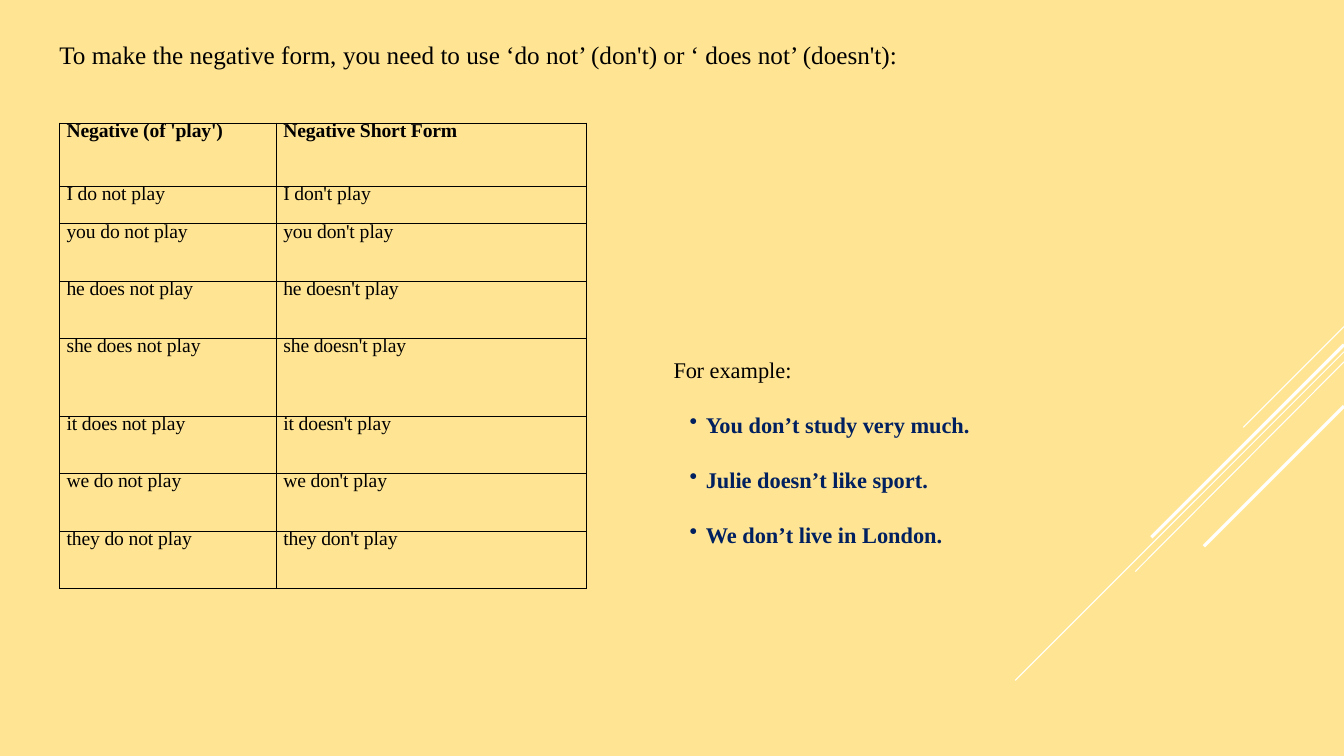
from lxml.etree import SubElement
from pptx import Presentation
from pptx.dml.color import RGBColor
from pptx.enum.shapes import MSO_CONNECTOR
from pptx.oxml.ns import qn
from pptx.util import Inches, Pt

FONT = "Times New Roman"
BLACK, NAVY, WHITE, SAND = "000000", "002060", "FFFFFF", "FFE593"
TIGHT = -10  # letter spacing in hundredths of a point

# Start and end of each diagonal line, and its width in points
DIAGONALS = [
    (13.33, 3.24, 12.33, 4.24, 0.75),
    (13.33, 3.49, 10.07, 6.75, 0.75),
    (13.33, 3.59, 11.26, 5.67, 0.75),
    (13.33, 3.42, 11.42, 5.33, 2.25),
    (13.33, 4.03, 11.94, 5.42, 2.25),
]
HEADINGS = ["Negative (of 'play')", "Negative Short Form"]
SUBJECTS = ["I", "you", "he", "she", "it", "we", "they"]
THIRD_PERSON = {"he", "she", "it"}
COLUMN_WIDTHS = [2.15, 3.07]
ROW_HEIGHTS = [0.63, 0.37, 0.57, 0.57, 0.77, 0.57, 0.57, 0.57]
EXAMPLES = [
    "You don’t study very much.",
    "Julie doesn’t like sport.",
    "We don’t live in London.",
]


def color(value):
    return RGBColor.from_string(value)


def write(paragraph, text, size=14, fill=BLACK, bold=False, spacing=0):
    """Add one formatted run to a paragraph."""
    run = paragraph.add_run()
    run.text = text
    run.font.name = FONT
    run.font.size = Pt(size)
    run.font.bold = bold
    run.font.color.rgb = color(fill)
    run.font._element.set("spc", str(spacing))


def indent(paragraph, left, first=0):
    properties = paragraph._p.get_or_add_pPr()
    properties.set("marL", str(Inches(left)))
    properties.set("indent", str(Inches(first)))
    return properties


def add_text_box(slide, left, top, width, height, inset=0.0):
    frame = slide.shapes.add_textbox(
        Inches(left), Inches(top), Inches(width), Inches(height)).text_frame
    frame.word_wrap = True
    frame.margin_left = frame.margin_right = Inches(inset)
    frame.margin_top = frame.margin_bottom = Inches(inset / 2)
    return frame


def add_line(slide, x1, y1, x2, y2, width):
    line = slide.shapes.add_connector(
        MSO_CONNECTOR.STRAIGHT, Inches(x1), Inches(y1), Inches(x2), Inches(y2))
    line.line.color.rgb = color(WHITE)
    line.line.width = Pt(width)
    SubElement(line._element.spPr, qn("a:effectLst"))


def set_borders(cell):
    properties = cell._tc.get_or_add_tcPr()
    for position, side in enumerate(("lnL", "lnR", "lnT", "lnB")):
        border = properties.makeelement(qn("a:" + side), {"w": str(Pt(0.48))})
        fill = SubElement(border, qn("a:solidFill"))
        SubElement(fill, qn("a:srgbClr"), val=BLACK)
        properties.insert(position, border)


def fill_cell(cell, pieces, line_height, bold=False):
    """Write (text, spacing) pieces into a bordered cell without fill."""
    cell.fill.background()
    cell.margin_left = cell.margin_right = 0
    cell.margin_top = cell.margin_bottom = 0
    set_borders(cell)
    paragraph = cell.text_frame.paragraphs[0]
    indent(paragraph, 0.07)
    paragraph.line_spacing = Pt(line_height)
    for text, spacing in pieces:
        write(paragraph, text, bold=bold, spacing=spacing)


def add_verb_table(slide):
    table = slide.shapes.add_table(
        len(ROW_HEIGHTS), len(COLUMN_WIDTHS), Inches(0.59), Inches(1.22),
        Inches(sum(COLUMN_WIDTHS)), Inches(sum(ROW_HEIGHTS))).table
    table.first_row = table.horz_banding = False
    for column, width in zip(table.columns, COLUMN_WIDTHS):
        column.width = Inches(width)
    for row, height in zip(table.rows, ROW_HEIGHTS):
        row.height = Inches(height)

    for index, heading in enumerate(HEADINGS):
        fill_cell(table.cell(0, index), [(heading, TIGHT)], 13.4, bold=True)
    for row, subject in enumerate(SUBJECTS, start=1):
        verb = "does" if subject in THIRD_PERSON else "do"
        for index, negative in enumerate((f"{verb} not", f"{verb}n't")):
            pieces = [(f"{subject} {negative} ", TIGHT), ("play", 0)]
            fill_cell(table.cell(row, index), pieces, 13.2)


def add_examples(slide):
    frame = add_text_box(slide, 6.67, 3.53, 9.89, 1.88)
    intro = frame.paragraphs[0]
    indent(intro, 0.01)
    write(intro, "For ", size=16, spacing=TIGHT)
    write(intro, "example:", size=16)
    for example in EXAMPLES:
        paragraph = frame.add_paragraph()
        properties = indent(paragraph, 0.33, -0.16)
        SubElement(properties, qn("a:buChar"), char="•")
        paragraph.space_before = Pt(20.2)
        write(paragraph, example, size=16, fill=NAVY, bold=True)


def main():
    presentation = Presentation()
    presentation.slide_width = Inches(13.33)
    presentation.slide_height = Inches(7.5)
    slide = presentation.slides.add_slide(presentation.slide_layouts[6])
    slide.background.fill.solid()
    slide.background.fill.fore_color.rgb = color(SAND)

    # Diagonal decoration
    for diagonal in DIAGONALS:
        add_line(slide, *diagonal)

    # Rule at the top
    rule = add_text_box(slide, 0.48, 0.34, 10.64, 0.4, inset=0.1).paragraphs[0]
    indent(rule, 0.01)
    write(rule, "To make the negative form, ", size=18)
    write(rule, "you ", size=18, spacing=TIGHT)
    write(rule, "need to use ‘do not’ (don't) or ‘ does not’ (doesn't):", size=18)

    # Verb forms and example sentences
    add_verb_table(slide)
    add_examples(slide)
    presentation.save("out.pptx")


if __name__ == "__main__":
    main()
